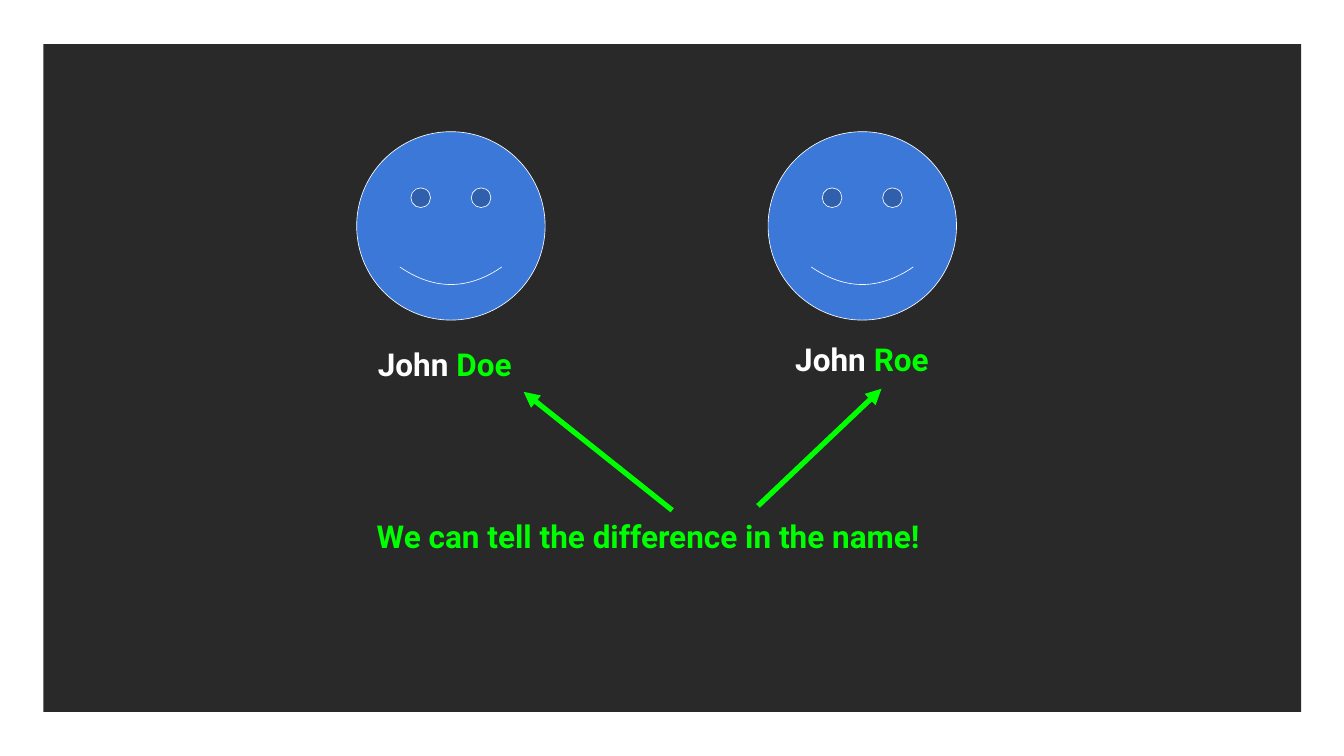
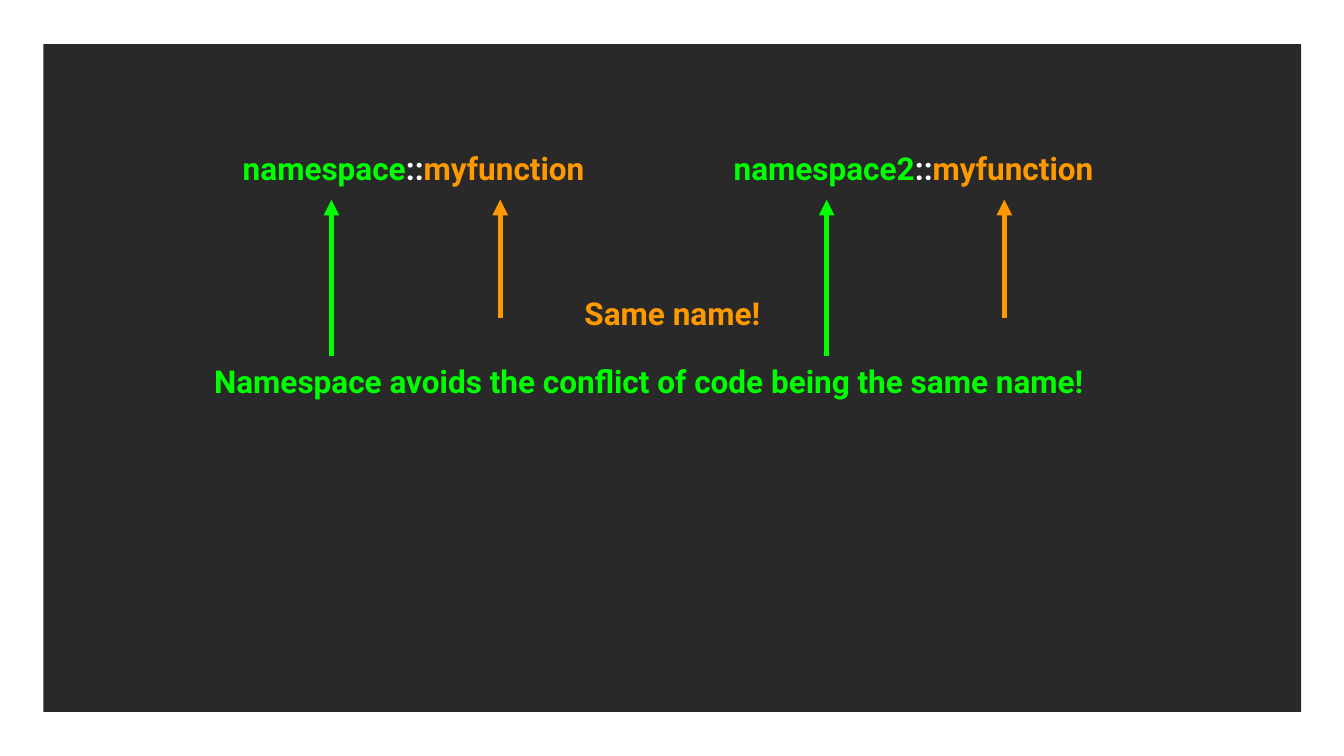
import pptx
import pptx.util
import pptx.dml.color
import pptx.enum.shapes
import pptx.enum.text
import pptx.oxml
import pptx.oxml.ns
import lxml.etree

COLORS = {"panel": "000000", "face": "3C78D8", "white": "FFFFFF",
          "green": "00FF00", "orange": "FF9900"}
FONT = {"name": "Roboto", "size": pptx.util.Pt(36), "bold": True}
INSET = pptx.util.Inches(0.1)
MARGINS = {"margin_left": INSET, "margin_right": INSET,
           "margin_top": INSET, "margin_bottom": INSET, "word_wrap": True}
RGB = {k: pptx.dml.color.RGBColor.from_string(v) for k, v in COLORS.items()}
SHAPE = pptx.enum.shapes.MSO_SHAPE
CENTER = pptx.enum.text.PP_ALIGN.CENTER
LEFT = pptx.enum.text.PP_ALIGN.LEFT
qn = pptx.oxml.ns.qn

prs = pptx.Presentation()
prs.slide_width = pptx.util.Inches(21.33)
prs.slide_height = pptx.util.Inches(12)
# All lengths below are percentages of the slide's width and height.
col, row = prs.slide_width / 100, prs.slide_height / 100


def add_text(s, x, y, w, h, align, *runs):
    """Add one line of text; each run is a (text, colour name) pair."""
    tf = s.shapes.add_textbox(int(x * col), int(y * row), int(w * col), int(h * row)).text_frame
    for key, value in MARGINS.items():
        setattr(tf, key, value)
    p = tf.paragraphs[0]
    p.alignment = align
    for text, color in runs:
        r = p.add_run()
        r.text = text
        for key, value in FONT.items():
            setattr(r.font, key, value)
        r.font.color.rgb = RGB[color]


def add_arrow(s, x1, y1, x2, y2, color):
    cx = s.shapes.add_connector(pptx.enum.shapes.MSO_CONNECTOR.STRAIGHT,
                                int(x1 * col), int(y1 * row), int(x2 * col), int(y2 * row))
    cx.line.color.rgb = RGB[color]
    cx.line.width = pptx.util.Pt(6)
    ln = cx.line._get_or_add_ln()
    lxml.etree.SubElement(ln, qn("a:tailEnd"), type="triangle")
    lxml.etree.SubElement(cx._element.spPr, qn("a:effectLst"))


# Both slides: white page with a dark, slightly transparent panel
slides = []
for _ in range(2):
    s = prs.slides.add_slide(prs.slide_layouts[6])
    s.background.fill.solid()
    s.background.fill.fore_color.rgb = RGB["white"]
    sp = s.shapes.add_shape(SHAPE.RECTANGLE, int(3.23 * col), int(5.83 * row),
                            int(93.58 * col), int(88.33 * row))
    sp.shadow.inherit = False
    sp.fill.solid()
    sp.fill.fore_color.rgb = RGB["panel"]
    clr = sp._element.spPr.find(qn("a:solidFill"))[0]
    lxml.etree.SubElement(clr, qn("a:alpha"), val="84000")
    sp.line.fill.background()
    slides.append(s)
people, code = slides

# Slide 1: two people told apart by surname
for face_x, name_x, name_y, surname in [(26.54, 22.03, 44.75, "Doe"),
                                        (57.15, 53.07, 44.08, "Roe")]:
    sp = people.shapes.add_shape(SHAPE.SMILEY_FACE, int(face_x * col), int(17.42 * row),
                                 int(14.02 * col), int(14.02 * col))
    sp.shadow.inherit = False
    sp.adjustments[0] = 0.047
    sp.fill.solid()
    sp.fill.fore_color.rgb = RGB["face"]
    sp.line.color.rgb = RGB["white"]
    sp.line.width = pptx.util.Pt(0.75)
    add_text(people, name_x, name_y, 22.13, 11.83, CENTER,
             ("John ", "white"), (surname, "green"))
add_text(people, 27.57, 67.5, 44.87, 18.25, LEFT,
         ("We can tell the difference in the name!", "green"))
add_arrow(people, 56.4, 66.92, 65.59, 51.42, "green")
add_arrow(people, 50.02, 67.5, 38.96, 51.83, "green")

# Slide 2: two functions told apart by namespace
for x, w, namespace in [(15.47, 30.61, "namespace"), (51.66, 32.63, "namespace2")]:
    add_text(code, x, 18.92, w, 11.83, CENTER,
             (namespace, "green"), ("::", "white"), ("myfunction", "orange"))
add_text(code, 15.47, 47.08, 71.4, 10.5, LEFT,
         ("Namespace avoids the conflict of code being the same name!", "green"))
add_text(code, 16.88, 38.08, 66.29, 6.92, CENTER, ("Same name!", "orange"))
for color, start_y, xs in [("orange", 42, (74.73, 37.22)), ("green", 47.08, (61.51, 24.66))]:
    for x in xs:
        add_arrow(code, x, start_y, x, 26.42, color)

prs.save("out.pptx")
